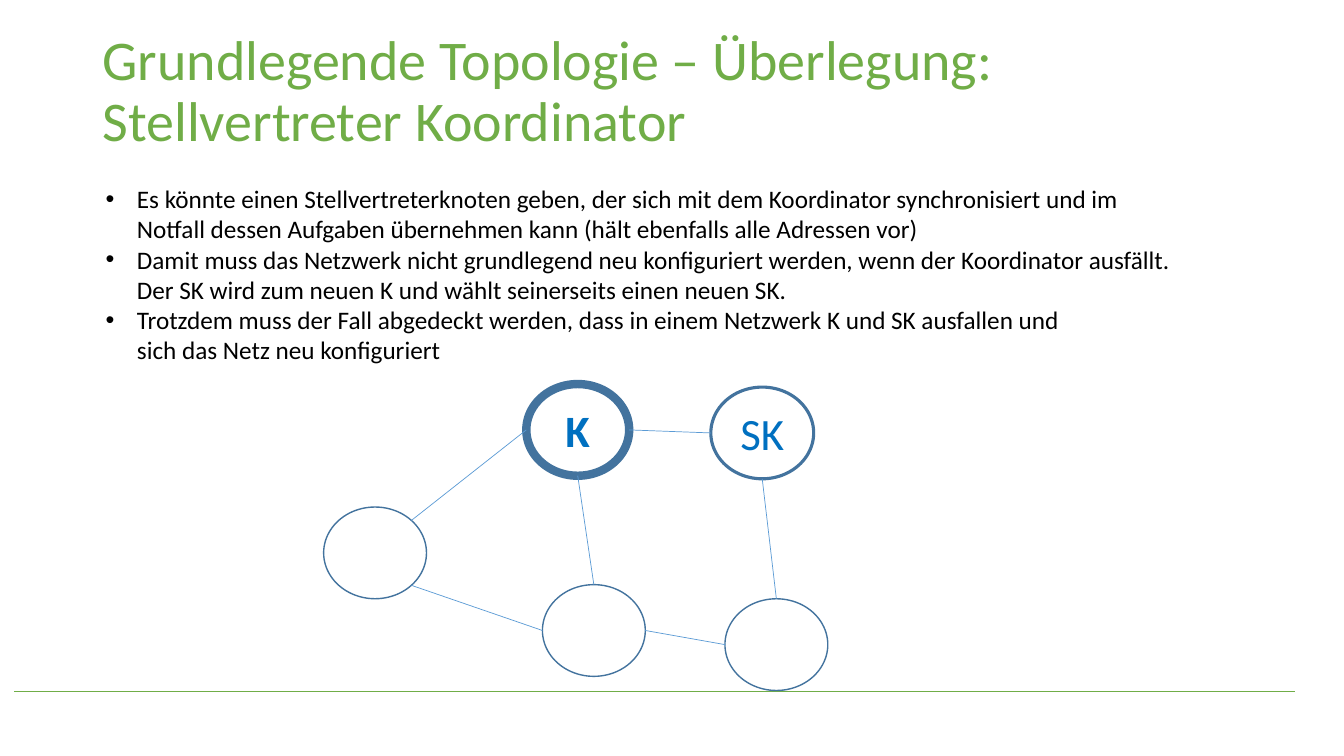
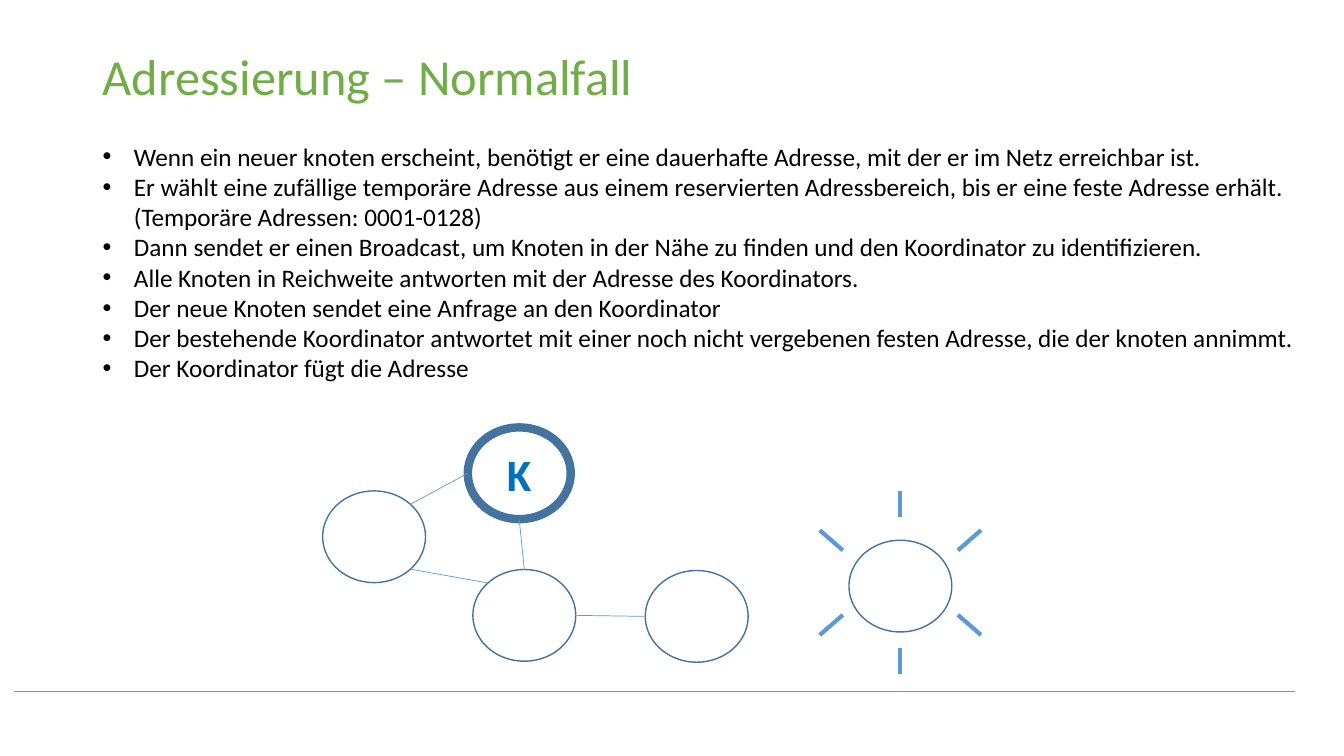
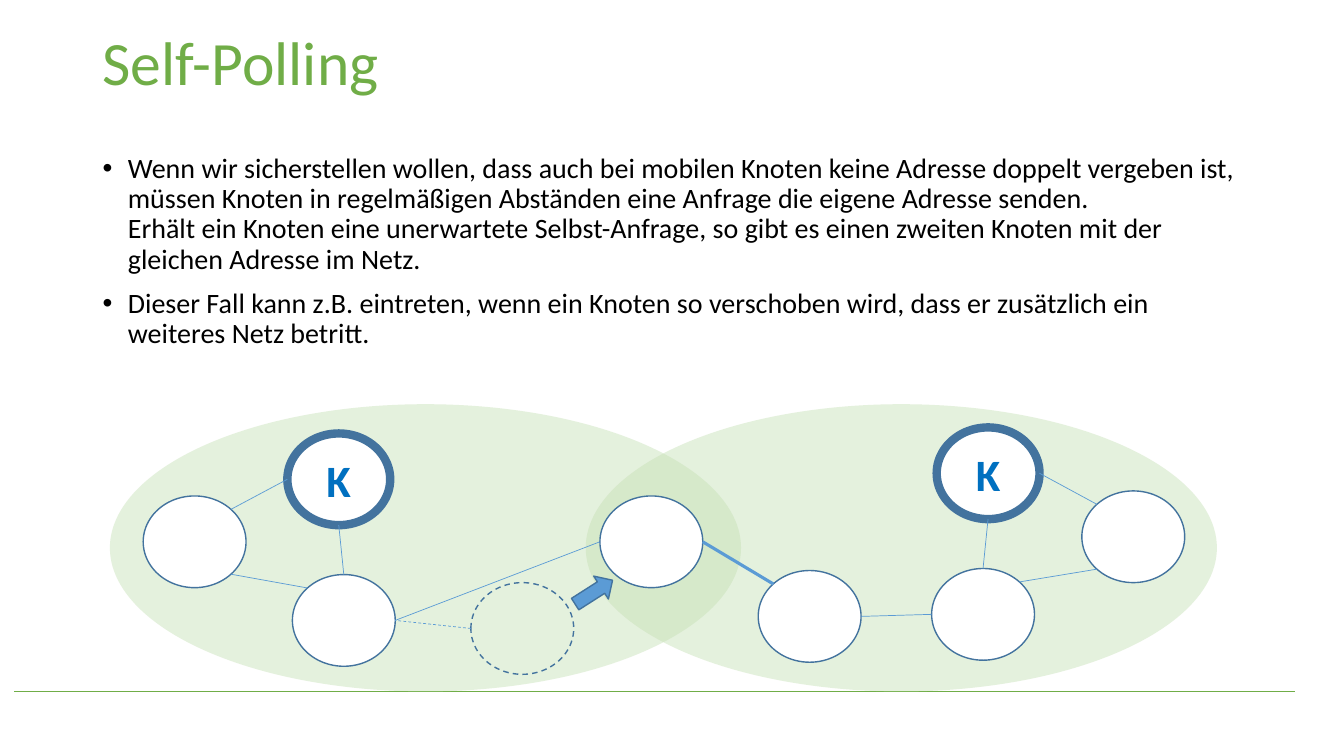
from dataclasses import dataclass
from itertools import product

from pptx import Presentation
from pptx import util as u
from pptx.dml import color
from pptx.enum import dml, shapes, text
from pptx.oxml import ns
from lxml import etree


@dataclass(frozen=True)
class Theme:
    """Colours, font, type sizes and line widths of the deck."""
    font: str = "Calibri"
    green: str = "70AD47"
    pale_green: str = "C5E0B4"
    blue: str = "5B9BD5"
    dark_blue: str = "43739E"
    label_blue: str = "0070C0"
    white: str = "FFFFFF"
    black: str = "000000"
    label: int = 32
    bullet: int = 18
    body: int = 20
    hairline: float = 0.5
    outline: float = 1
    strong: float = 2.25
    ray: float = 3
    coordinator: float = 6


T = Theme()
NODE_W, NODE_H = 1.02, 0.91
DIAG = 0.5 ** 0.5
SITES = {"t": (0, -1), "b": (0, 1), "l": (-1, 0), "r": (1, 0),
         "tl": (-DIAG, -DIAG), "tr": (DIAG, -DIAG),
         "bl": (-DIAG, DIAG), "br": (DIAG, DIAG)}


def rgb(value):
    """Turn a hex string into a colour."""
    return color.RGBColor.from_string(value)


def assign(obj, values):
    """Set attributes from a dict."""
    for name, value in values.items():
        setattr(obj, name, value)


def write(p, content, size, tint, bold=False):
    """Fill a paragraph, turning newlines into line breaks."""
    p.text = content
    for r in p.runs:
        assign(r.font, {"name": T.font, "size": u.Pt(size), "bold": bold})
        r.font.color.rgb = rgb(tint)


def add_bullet(p, indent):
    """Give a paragraph a hanging bullet."""
    pPr = p._p.get_or_add_pPr()
    pPr.set("marL", str(u.Inches(indent)))
    pPr.set("indent", str(-u.Inches(indent)))
    etree.SubElement(pPr, ns.qn("a:buFont")).set("typeface", "Arial")
    etree.SubElement(pPr, ns.qn("a:buChar")).set("char", "•")


def add_text(slide, box, paragraphs, size, tint, wrap=True, indent=0, fmt=None):
    """Add a text box, bulleted when an indent is given."""
    tf = slide.shapes.add_textbox(*map(u.Inches, box)).text_frame
    assign(tf, {"word_wrap": wrap, "vertical_anchor": text.MSO_ANCHOR.TOP})
    for i, content in enumerate(paragraphs):
        p = tf.add_paragraph() if i else tf.paragraphs[0]
        write(p, content, size, tint)
        assign(p, fmt or {})
        if indent:
            add_bullet(p, indent)


def add_line(slide, start, end, width=T.hairline, tint=T.blue, dash=None):
    """Draw a straight line between two points."""
    line = slide.shapes.add_connector(
        shapes.MSO_CONNECTOR.STRAIGHT, *map(u.Inches, (*start, *end)))
    line.line.color.rgb = rgb(tint)
    assign(line.line, {"width": u.Pt(width), "dash_style": dash})
    etree.SubElement(line._element.spPr, ns.qn("a:effectLst"))


def add_preset(slide, kind, box, fill=None, width=0, dash=None):
    """Add a flat preset shape; no width means no outline."""
    sp = slide.shapes.add_shape(kind, *map(u.Inches, box))
    sp.shadow.inherit = False
    if fill:
        sp.fill.solid()
        sp.fill.fore_color.rgb = rgb(fill)
    else:
        sp.fill.background()
    if width:
        sp.line.color.rgb = rgb(T.dark_blue)
        assign(sp.line, {"width": u.Pt(width), "dash_style": dash})
    else:
        sp.line.fill.background()
    return sp


def add_node(slide, at, label="", width=T.outline, fill=T.white, dash=None):
    """Add a network node and return its top left corner."""
    sp = add_preset(slide, shapes.MSO_SHAPE.OVAL, (*at, NODE_W, NODE_H),
                    fill, width, dash)
    if label:
        tf = sp.text_frame
        assign(tf, {"word_wrap": False, "vertical_anchor": text.MSO_ANCHOR.MIDDLE})
        p = tf.paragraphs[0]
        p.alignment = text.PP_ALIGN.CENTER
        write(p, label, T.label, T.label_blue, bold=label == "K")
    return at


def add_coordinator(slide, at):
    """Add the heavy node of a coordinator."""
    return add_node(slide, at, "K", T.coordinator)


def site(node, name):
    """Return the point on a node's rim in a named direction."""
    (x, y), (dx, dy) = node, SITES[name]
    return x + NODE_W / 2 * (1 + dx), y + NODE_H / 2 * (1 + dy)


def link(slide, a, side_a, b, side_b, **style):
    """Connect the rims of two nodes."""
    add_line(slide, site(a, side_a), site(b, side_b), **style)


def add_range(slide, left):
    """Add the translucent area that a network covers."""
    sp = add_preset(slide, shapes.MSO_SHAPE.OVAL, (left, 4.01, 6.26, 2.85),
                    T.pale_green)
    tint = sp._element.spPr.find(".//" + ns.qn("a:srgbClr"))
    etree.SubElement(tint, ns.qn("a:alpha")).set("val", "45000")


def add_rays(slide, x, y):
    """Draw six rays around a point."""
    for sx, sy in product((-1, 0, 1), (-1, 1)):
        near, far = (0.32, 0.52) if sx else (0.65, 0.91)
        add_line(slide, (x + sx * 0.57, y + sy * near),
                 (x + sx * 0.8, y + sy * far), T.ray)


def new_slide(prs):
    """Add a blank slide with the footer rule."""
    slide = prs.slides.add_slide(prs.slide_layouts[6])
    add_line(slide, (0.14, 6.86), (12.84, 6.86), tint=T.green)
    return slide


def add_title(slide, content, size, top=0.27):
    """Add the green slide title."""
    add_text(slide, (0.92, top, 11.5, 1.45), [content], size, T.green,
             fmt={"line_spacing": 0.9})


def deputy_slide(prs):
    """Topology with a deputy coordinator."""
    s = new_slide(prs)
    add_title(s, "Grundlegende Topologie – Überlegung:\nStellvertreter Koordinator", 40)
    add_text(s, (0.95, 1.77, 10.89, 1.92), [
        "Es könnte einen Stellvertreterknoten geben, der sich mit dem Koordinator "
        "synchronisiert und im\nNotfall dessen Aufgaben übernehmen kann "
        "(hält ebenfalls alle Adressen vor)",
        "Damit muss das Netzwerk nicht grundlegend neu konfiguriert werden, wenn der "
        "Koordinator ausfällt.\nDer SK wird zum neuen K und wählt seinerseits "
        "einen neuen SK.",
        "Trotzdem muss der Fall abgedeckt werden, dass in einem Netzwerk K und SK "
        "ausfallen und\nsich das Netz neu konfiguriert",
    ], T.bullet, T.black, wrap=False, indent=0.31)
    k = add_coordinator(s, (5.22, 3.81))
    deputy = add_node(s, (7.05, 3.84), "SK", T.strong)
    left, middle, right = [add_node(s, at) for at in
                           ((3.21, 5.03), (5.38, 5.8), (7.19, 5.94))]
    link(s, left, "tr", k, "l")
    link(s, k, "b", middle, "t")
    link(s, left, "br", middle, "l")
    link(s, middle, "r", right, "l")
    link(s, deputy, "b", right, "t")
    link(s, k, "r", deputy, "l")


def addressing_slide(prs):
    """A new node asks for an address."""
    s = new_slide(prs)
    add_title(s, "Adressierung – Normalfall", 36, top=0.47)
    add_text(s, (0.92, 1.35, 12.05, 2.52), [
        "Wenn ein neuer knoten erscheint, benötigt er eine dauerhafte Adresse, "
        "mit der er im Netz erreichbar ist.",
        "Er wählt eine zufällige temporäre Adresse aus einem reservierten "
        "Adressbereich, bis er eine feste Adresse erhält.\n"
        "(Temporäre Adressen: 0001-0128)",
        "Dann sendet er einen Broadcast, um Knoten in der Nähe zu finden und den "
        "Koordinator zu identifizieren.",
        "Alle Knoten in Reichweite antworten mit der Adresse des Koordinators.",
        "Der neue Knoten sendet eine Anfrage an den Koordinator",
        "Der bestehende Koordinator antwortet mit einer noch nicht vergebenen festen "
        "Adresse, die der knoten annimmt.",
        "Der Koordinator fügt die Adresse",
    ], T.bullet, T.black, wrap=False, indent=0.31)
    k = add_coordinator(s, (4.64, 4.24))
    left, middle, right = [add_node(s, at) for at in
                           ((3.2, 4.87), (4.69, 5.65), (6.4, 5.66))]
    link(s, left, "tr", k, "l")
    link(s, k, "b", middle, "t")
    link(s, left, "br", middle, "tl")
    link(s, middle, "r", right, "l")
    add_node(s, (8.42, 5.36))
    add_rays(s, 8.93, 5.78)


def polling_slide(prs):
    """A node moves into the range of a second network."""
    s = new_slide(prs)
    for left in (5.81, 1.09):
        add_range(s, left)
    add_title(s, "Self-Polling", 44)
    add_text(s, (0.92, 1.48, 11.5, 4.76), [
        "Wenn wir sicherstellen wollen, dass auch bei mobilen Knoten keine Adresse "
        "doppelt vergeben ist, müssen Knoten in regelmäßigen Abständen eine Anfrage "
        "die eigene Adresse senden.\nErhält ein Knoten eine unerwartete "
        "Selbst-Anfrage, so gibt es einen zweiten Knoten mit der gleichen Adresse "
        "im Netz.",
        "Dieser Fall kann z.B. eintreten, wenn ein Knoten so verschoben wird, dass "
        "er zusätzlich ein weiteres Netz betritt.",
    ], T.body, T.black, indent=0.25,
        fmt={"line_spacing": 0.9, "space_before": u.Pt(10)})
    dash = dml.MSO_LINE.DASH
    before = add_node(s, (4.67, 5.78), fill=None, dash=dash)
    moved = add_node(s, (5.95, 4.92))

    k1 = add_coordinator(s, (2.85, 4.3))
    outer1, inner1 = [add_node(s, at) for at in ((1.42, 4.92), (2.9, 5.7))]
    link(s, outer1, "tr", k1, "l")
    link(s, k1, "b", inner1, "t")
    link(s, outer1, "br", inner1, "tl")
    link(s, before, "l", inner1, "r", dash=dash)
    link(s, moved, "l", inner1, "r")

    k2 = add_coordinator(s, (9.29, 4.24))
    outer2, inner2, edge2 = [add_node(s, at) for at in
                             ((10.73, 4.87), (9.24, 5.64), (7.52, 5.66))]
    link(s, outer2, "tl", k2, "r")
    link(s, k2, "b", inner2, "t")
    link(s, outer2, "bl", inner2, "tr")
    link(s, edge2, "r", inner2, "l")
    link(s, moved, "r", edge2, "tl", width=T.strong)

    arrow = add_preset(s, shapes.MSO_SHAPE.RIGHT_ARROW, (5.67, 5.74, 0.44, 0.27),
                       T.blue, T.outline)
    arrow.rotation = 327.4


def main():
    """Build and save the deck."""
    prs = Presentation()
    assign(prs, {"slide_width": u.Inches(13.33), "slide_height": u.Inches(7.5)})
    for build in (deputy_slide, addressing_slide, polling_slide):
        build(prs)
    prs.save("out.pptx")


main()
